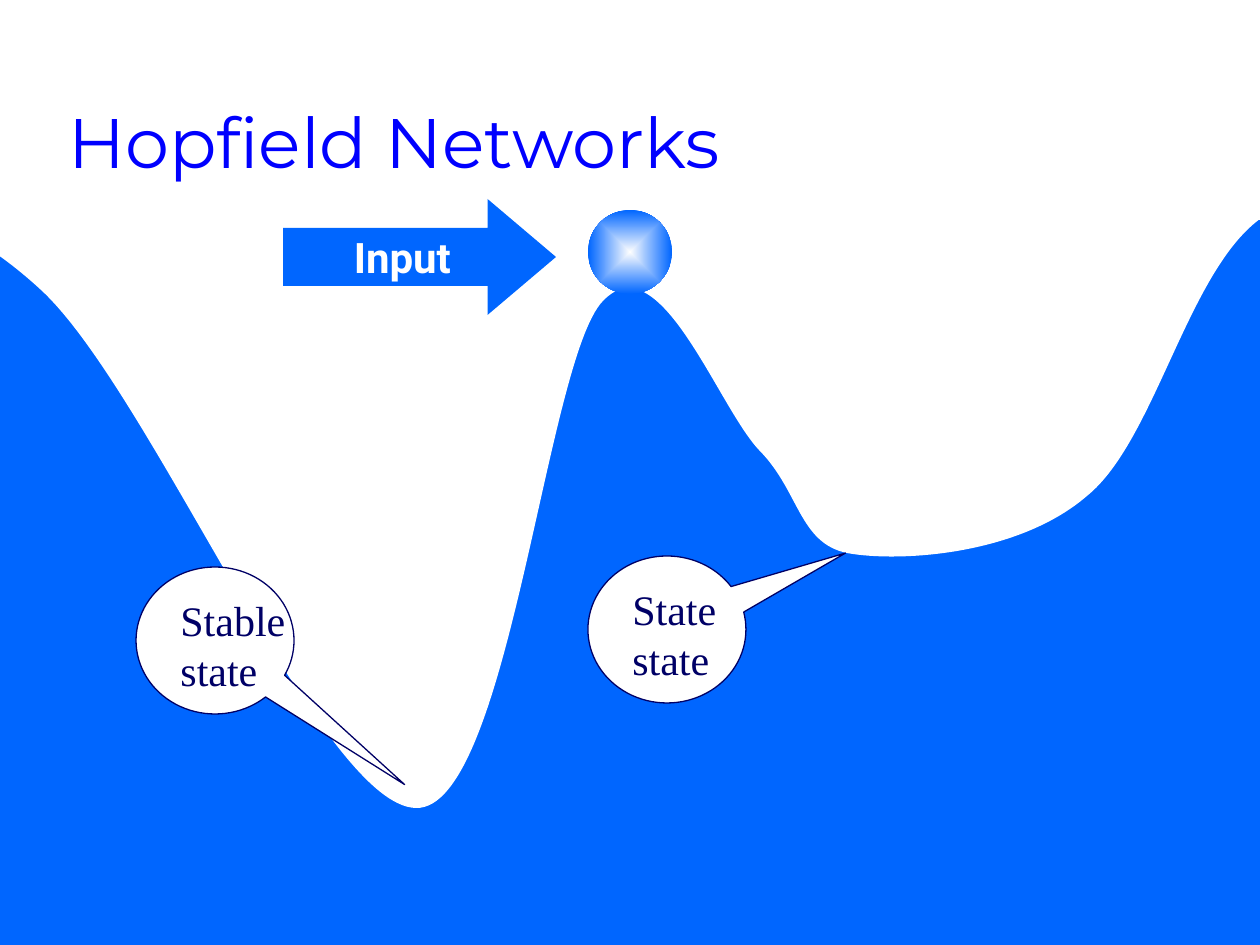
from pptx import Presentation
from pptx.dml.color import RGBColor
from pptx.enum.shapes import MSO_SHAPE
from pptx.enum.text import MSO_ANCHOR, MSO_AUTO_SIZE, PP_ALIGN
from pptx.oxml import parse_xml
from pptx.oxml.ns import nsdecls, qn
from pptx.util import Pt

SCALE = 914400 / 126
BLUE = RGBColor(0x00, 0x66, 0xFF)
NAVY = RGBColor(0x00, 0x00, 0x66)
TITLE = RGBColor(0x00, 0x00, 0xFF)
PALE = RGBColor(0xFE, 0xFE, 0xFE)
WHITE = RGBColor(0xFF, 0xFF, 0xFF)


def paint(shape, color, edge=None):
    shape.shadow.inherit = False
    shape.fill.solid()
    shape.fill.fore_color.rgb = color
    if edge is None:
        shape.line.fill.background()
    else:
        shape.line.color.rgb = edge
        shape.line.width = Pt(0.75)


def write(shape, text, face, size, color, wrap=False):
    frame = shape.text_frame
    frame.word_wrap = wrap
    frame.text = text
    for para in frame.paragraphs:
        para.font.name = face
        para.font.size = Pt(size)
        para.font.color.rgb = color
    return frame


deck = Presentation()
deck.slide_width = round(1260 * SCALE)
deck.slide_height = round(945 * SCALE)
shapes = deck.slides.add_slide(deck.slide_layouts[6]).shapes

ground = shapes.add_shape(
    MSO_SHAPE.RECTANGLE, *[round(n * SCALE) for n in (0, 220, 1260, 725)])
paint(ground, BLUE)

title = shapes.add_textbox(*[round(n * SCALE) for n in (56, 32, 1071, 157)])
frame = write(title, "Hopfield Networks", "Montserrat", 40, TITLE, True)
frame.vertical_anchor = MSO_ANCHOR.BOTTOM

knots = [
    (-155, 199), (-69, 189), (40, 289),
    (150, 389), (321, 806), (416, 808),
    (509, 810), (546, 360), (603, 301),
    (660, 241), (718, 408), (760, 451),
    (801, 493), (799, 547), (853, 554),
    (908, 562), (1021, 553), (1087, 496),
    (1155, 441), (1187, 273), (1260, 219),
]
pen = shapes.build_freeform(-242, 208, SCALE)
pen.add_line_segments(knots, close=False)
valley = pen.convert_to_shape()
paint(valley, WHITE)
lines = list(valley.element.iter(qn("a:lnTo")))
for i in range(0, len(lines), 3):
    curve = parse_xml(f'<a:cubicBezTo {nsdecls("a")}/>')
    lines[i].addprevious(curve)
    for line in lines[i:i + 3]:
        curve.append(line[0])
        line.getparent().remove(line)

ball = shapes.add_shape(
    MSO_SHAPE.OVAL, *[round(n * SCALE) for n in (588, 210, 84, 84)])
paint(ball, BLUE)
ball.fill.gradient()
for stop, color, place in zip(ball.fill.gradient_stops, (PALE, BLUE), (0, 1)):
    stop.color.rgb = color
    stop.position = place
grad = ball.element.spPr.find(qn("a:gradFill"))
grad.replace(grad.find(qn("a:lin")), parse_xml(
    f'<a:path {nsdecls("a")} path="rect">'
    '<a:fillToRect l="50000" t="50000" r="50000" b="50000"/></a:path>'))

calls = [
    ("Stable\nstate", (136, 567), (168, 588, 130, 113), (1.2, 0.98)),
    ("State\nstate", (588, 556), (620, 577, 120, 113), (1.13, -0.52)),
]
for text, spot, area, tip in calls:
    bubble = shapes.add_shape(
        MSO_SHAPE.OVAL_CALLOUT, *[round(n * SCALE) for n in (*spot, 158, 147)])
    bubble.adjustments[0], bubble.adjustments[1] = tip
    paint(bubble, WHITE, NAVY)
    label = shapes.add_textbox(*[round(n * SCALE) for n in area])
    frame = write(label, text, "Times New Roman", 24, NAVY)
    frame.auto_size = MSO_AUTO_SIZE.SHAPE_TO_FIT_TEXT

arrow = shapes.add_shape(
    MSO_SHAPE.RIGHT_ARROW, *[round(n * SCALE) for n in (283, 199, 273, 116)])
arrow.adjustments[0], arrow.adjustments[1] = 0.5, 0.59
paint(arrow, BLUE)
frame = write(arrow, "Input", "Roboto", 24, WHITE)
frame.vertical_anchor = MSO_ANCHOR.MIDDLE
frame.paragraphs[0].alignment = PP_ALIGN.CENTER
frame.paragraphs[0].font.bold = True

deck.save("out.pptx")
